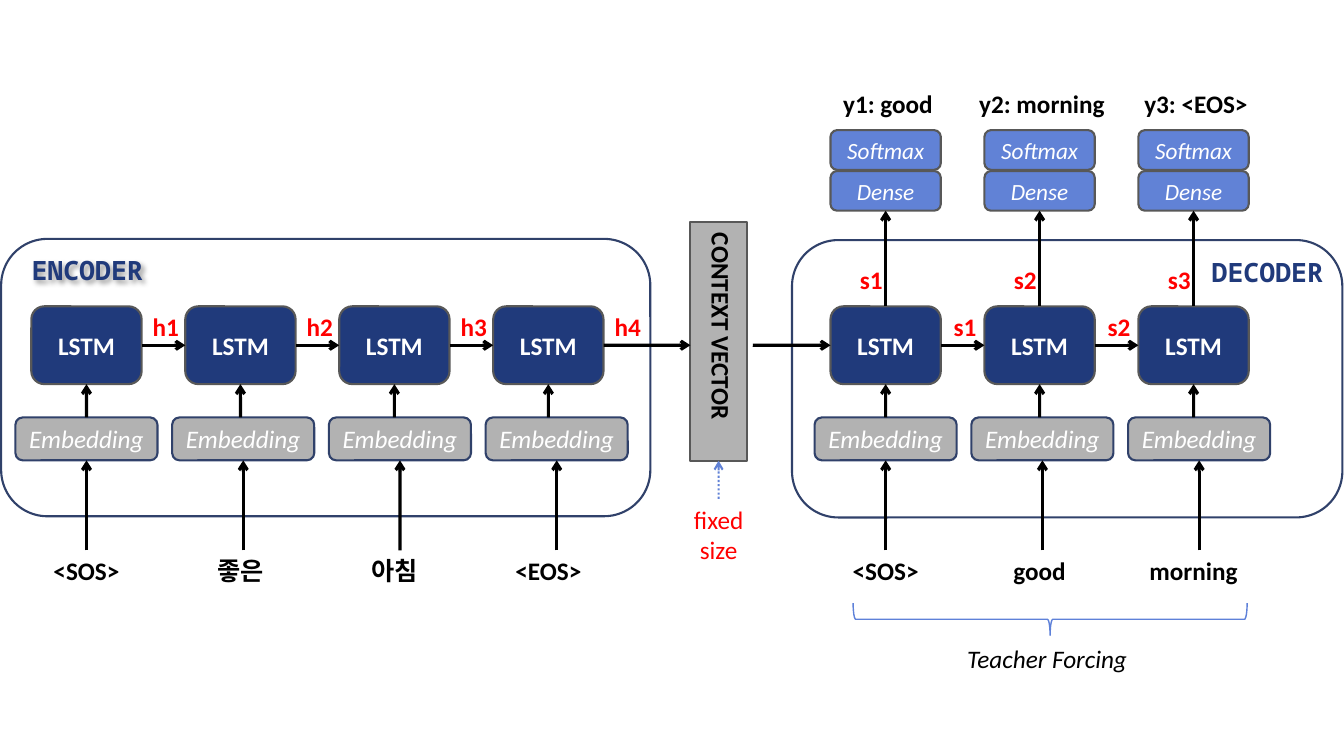
from lxml import etree
from pptx import Presentation
from pptx.dml.color import RGBColor
from pptx.enum.dml import MSO_LINE
from pptx.enum.shapes import MSO_CONNECTOR, MSO_SHAPE
from pptx.enum.text import MSO_ANCHOR, PP_ALIGN
from pptx.oxml.ns import qn
from pptx.util import Cm, Pt

ROUNDED, RECTANGLE, BRACE = MSO_SHAPE.ROUNDED_RECTANGLE, MSO_SHAPE.RECTANGLE, MSO_SHAPE.LEFT_BRACE
STRAIGHT, DOTTED = MSO_CONNECTOR.STRAIGHT, MSO_LINE.ROUND_DOT
MIDDLE, CENTER = MSO_ANCHOR.MIDDLE, PP_ALIGN.CENTER
TOP, LEFT, BOTTOM, RIGHT = range(4)

COLORS = {
    "white": "FFFFFF", "black": "000000", "red": "FF0000", "navy": "203A7B",
    "frame": "30416A", "grey": "B2B2B2", "edge": "585858", "blue": "6182D6",
    "brace": "5E81D9",
}

# Column rhythm and row positions, in centimetres
CELL_STEP, EMBED_STEP = 3.88, 3.95
CELL_TOP, CELL_HEIGHT = 7.72, 1.96
CELL_MIDDLE = CELL_TOP + CELL_HEIGHT / 2
EMBED_TOP, EMBED_HEIGHT = 10.52, 1.08
WORD_TOP = 13.87


def color(name):
    return RGBColor.from_string(COLORS[name])


def write(shape, text, size=18, ink="black", font="Calibri", bold=False, italic=False):
    frame = shape.text_frame
    frame.word_wrap = True
    frame.margin_left = frame.margin_right = frame.margin_top = frame.margin_bottom = 0
    frame.vertical_anchor = MIDDLE
    para = frame.paragraphs[0]
    para.alignment = CENTER
    span = para.add_run()
    span.text = text
    span.font.name, span.font.size = font, Pt(size)
    span.font.bold, span.font.italic = bold, italic
    span.font.color.rgb = color(ink)


def add_box(page, kind, left, top, width, height, fill, line, weight=1.5):
    box = page.shapes.add_shape(kind, Cm(left), Cm(top), Cm(width), Cm(height))
    box.shadow.inherit = False
    if fill:
        box.fill.solid()
        box.fill.fore_color.rgb = color(fill)
    else:
        box.fill.background()
    box.line.color.rgb = color(line)
    box.line.width = Pt(weight)
    return box


def add_layer(page, text, center, top, width, height, fill, line="edge", **style):
    box = add_box(page, ROUNDED, center - width / 2, top, width, height, fill, line)
    write(box, text, ink="white", **style)
    return box


def add_label(page, text, center, top, width=1.27, height=1.0, **style):
    box = page.shapes.add_textbox(Cm(center - width / 2), Cm(top), Cm(width), Cm(height))
    write(box, text, **style)
    return box


def add_arrow(page, start, end, source=None, target=None, ink="black", weight=2.25, dash=None):
    """Draw from start to end; source and target are (shape, side) pairs to join."""
    arrow = page.shapes.add_connector(STRAIGHT, *(Cm(value) for value in (*start, *end)))
    if source:
        arrow.begin_connect(*source)
    if target:
        arrow.end_connect(*target)
    arrow.line.color.rgb = color(ink)
    arrow.line.width = Pt(weight)
    if dash:
        arrow.line.dash_style = dash
    outline = arrow.line._get_or_add_ln()
    etree.SubElement(outline, qn("a:tailEnd"), type="arrow")
    etree.SubElement(arrow._element.spPr, qn("a:effectLst"))


def add_soft_shadow(shape):
    effects = etree.SubElement(shape._element.spPr, qn("a:effectLst"))
    shadow = etree.SubElement(effects, qn("a:outerShdw"), blurRad="50800",
                              dist="38100", dir="2700000", algn="tl")
    tint = etree.SubElement(shadow, qn("a:srgbClr"), val=COLORS["black"])
    etree.SubElement(tint, qn("a:alpha"), val="40000")


def add_chain(page, first, words, states):
    """Draw LSTM cells over embeddings and input words, linked left to right."""
    cells = []
    for index, word in enumerate(words):
        center = first + index * CELL_STEP
        embed_center = first + index * EMBED_STEP
        cell = add_layer(page, "LSTM", center, CELL_TOP, 2.78, CELL_HEIGHT, "navy", bold=True)
        embedding = add_layer(page, "Embedding", embed_center, EMBED_TOP, 3.58, EMBED_HEIGHT,
                              "grey", line="frame", italic=True)
        add_arrow(page, (center, EMBED_TOP), (center, CELL_TOP + CELL_HEIGHT),
                  target=(cell, BOTTOM))
        add_arrow(page, (embed_center, WORD_TOP), (embed_center, EMBED_TOP + EMBED_HEIGHT),
                  target=(embedding, BOTTOM))
        add_label(page, word, center, WORD_TOP, 3, bold=True)
        if cells:
            add_arrow(page, (center - 1, CELL_MIDDLE), (center, CELL_MIDDLE),
                      (cells[-1], RIGHT), (cell, LEFT))
        cells.append(cell)
    for index, state in enumerate(states):
        add_label(page, state, first + index * CELL_STEP + 2, CELL_TOP, ink="red", bold=True)
    return cells


def add_outputs(page, first, cells, results):
    """Stack Dense and Softmax above each decoder cell."""
    for index, (cell, result) in enumerate(zip(cells, results)):
        center = first + index * CELL_STEP
        dense, _ = [add_layer(page, name, center, top, 2.78, 1.0, "blue", size=16.6, italic=True)
                    for name, top in (("Dense", 4.31), ("Softmax", 3.28))]
        add_arrow(page, (center, CELL_TOP), (center, 5.31), (cell, TOP), (dense, BOTTOM))
        add_label(page, f"s{index + 1}", center - 0.36, 6.53, ink="red", bold=True)
        add_label(page, f"y{index + 1}: {result}", center + 0.06, 2.11, 4.3, bold=True)


def main():
    deck = Presentation()
    deck.slide_width, deck.slide_height = Cm(33.87), Cm(19.05)
    page = deck.slides.add_slide(deck.slide_layouts[6])

    # Encoder and decoder frames
    add_box(page, ROUNDED, 19.96, 6.05, 13.87, 6.99, "white", "frame")
    add_box(page, ROUNDED, 0.03, 6.02, 16.36, 6.99, "white", "frame")
    title = {"size": 19, "ink": "navy", "font": "Noto Sans Mono", "bold": True}
    encoder_title = add_label(page, "ENCODER", 2.2, 6.27, 3.73, 1.04, **title)
    add_soft_shadow(encoder_title)
    add_label(page, "DECODER", 31.94, 6.32, 3.84, 1.04, **title)

    # Cell chains
    encoder_first, decoder_first = 2.18, 22.32
    encoder = add_chain(page, encoder_first, ["<SOS>", "좋은", "아침", "<EOS>"],
                        ["h1", "h2", "h3", "h4"])
    decoder = add_chain(page, decoder_first, ["<SOS>", "good", "morning"], ["s1", "s2"])
    add_outputs(page, decoder_first, decoder, ["good", "morning", "<EOS>"])

    # Context vector between the chains
    context = add_box(page, RECTANGLE, 17.4, 5.59, 1.42, 6.02, "grey", "edge")
    caption = add_label(page, "CONTEXT VECTOR", 18.19, 5.87, 1.32, 5.46, bold=True)
    caption.text_frame._txBody.bodyPr.set("vert", "eaVert")
    add_arrow(page, (15.2, CELL_MIDDLE), (17.4, CELL_MIDDLE), source=(encoder[-1], RIGHT))
    add_arrow(page, (18.97, CELL_MIDDLE), (20.93, CELL_MIDDLE), target=(decoder[0], LEFT))
    size_note = add_label(page, "fixed size", 18.11, 12.57, 2, 1.78, ink="red")
    add_arrow(page, (18.11, 12.57), (18.11, 11.61), (size_note, TOP), (context, BOTTOM),
              ink="blue", weight=1.5, dash=DOTTED)

    # Teacher forcing brace under the decoder inputs
    brace = add_box(page, BRACE, 26.06, 10.64, 0.81, 9.93, None, "brace", 1)
    brace.rotation = 270
    add_label(page, "Teacher Forcing", 26.39, 16.08, 10.11, italic=True)

    deck.save("out.pptx")


if __name__ == "__main__":
    main()
